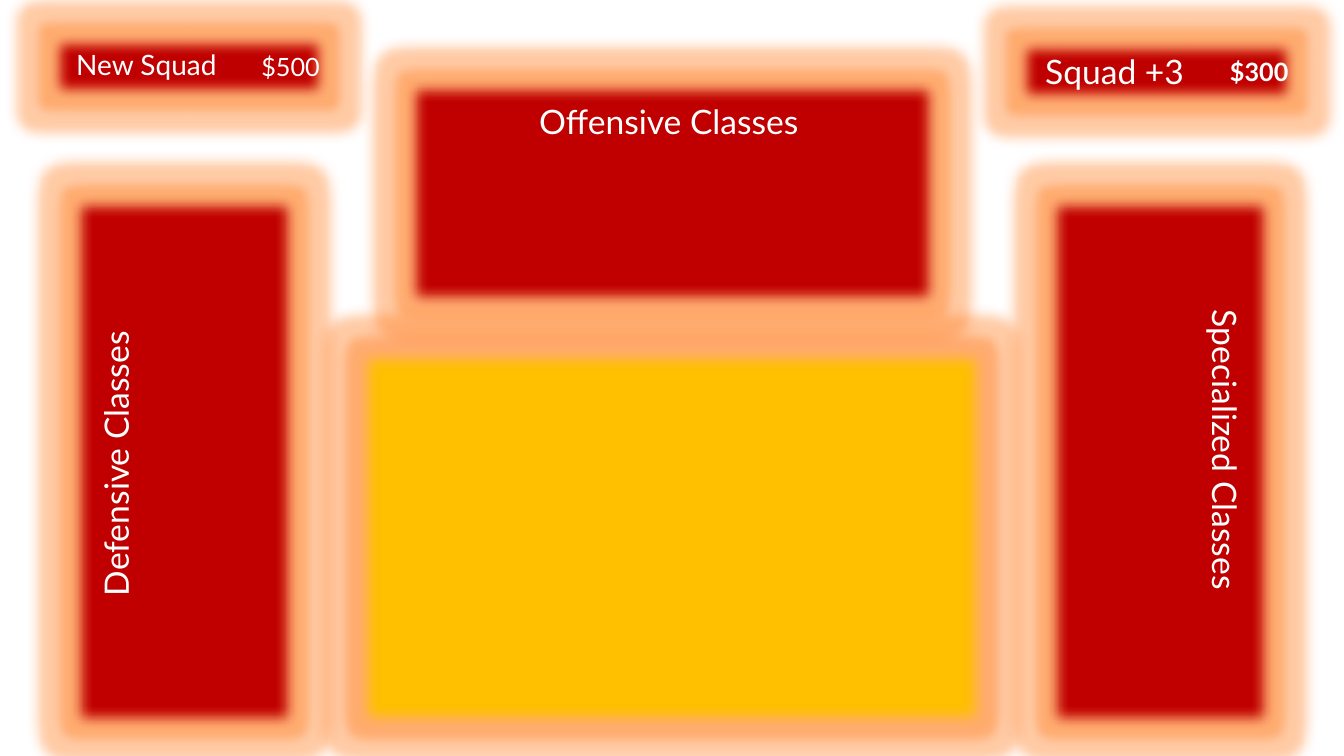
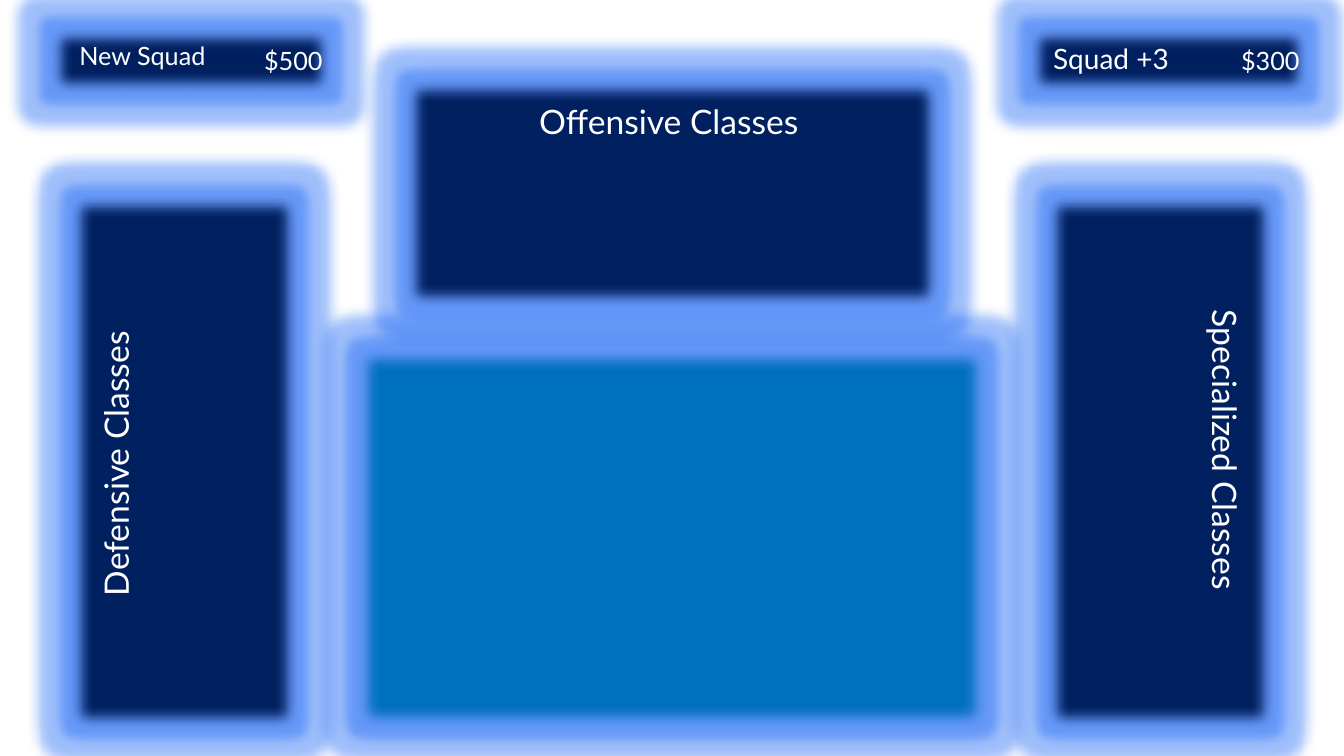
import lxml.etree
import pptx
import pptx.dml.color
import pptx.enum.shapes
import pptx.enum.text
import pptx.oxml.ns
import pptx.util

Cm = pptx.util.Cm
ALIGN = pptx.enum.text.PP_ALIGN

FONT = "Lato"
WHITE = "FFFFFF"
OUTLINE = "C00000"
GLOW_RADIUS = pptx.util.Pt(18)
SOFT_RADIUS = 112500
GLOW_ALPHA = 40000

# Boards in cm: left, top, width, height
LONG, SHORT, SIDE_TOP = 13.49, 5.79, 4.88
OFFENSIVE = (10.19, 1.98, LONG, SHORT)
DEFENSIVE = (1.75, SIDE_TOP, SHORT, LONG)
SPECIALIZED = (26.34, SIDE_TOP, SHORT, LONG)
FIELD = (8.97, 8.74, 15.93, 9.63)
LABEL_HEIGHT = 1.27
PRICE_HEIGHT = 1.73

# Price tags: box, price format, label, label offset and size, label format
SLIDES = [
    {
        "panel": "C00000", "field": "FFC000", "glow": "FF7D20",
        "tags": [
            ((25.58, 0.94, 7.14), "$300", {"bold": True},
             "Squad +3", (0.51, 0.23, 4.9, 1.27), 24, ALIGN.LEFT),
            ((1.22, 0.81, 7.09), "$500", {},
             "New Squad", (0.26, 0.26, 4.42, 1.12), 20, ALIGN.CENTER),
        ],
    },
    {
        "panel": "002060", "field": "0070C0", "glow": "1160F5",
        "tags": [
            ((1.24, 0.66, 7.14), "$500", {},
             "New Squad", (0.51, 0.23, 4.9, 1.02), 18, ALIGN.LEFT),
            ((25.91, 0.66, 7.09), "$300", {},
             "Squad +3", (0.38, 0.25, 4.42, 1.12), 20, ALIGN.LEFT),
        ],
    },
]


def color(value):
    return pptx.dml.color.RGBColor.from_string(value)


def write(shape, text, size, align=ALIGN.LEFT, **extra):
    """Put one formatted line into a shape."""
    para = shape.text_frame.paragraphs[0]
    para.alignment = align
    span = para.add_run()
    span.text = text
    look = {"name": FONT, "size": pptx.util.Pt(size), **extra}
    for name, value in look.items():
        setattr(span.font, name, value)
    span.font.color.rgb = color(WHITE)


def add_glow(shape, glow):
    """Add a coloured glow and soft edges."""
    def child(parent, tag, **attributes):
        element = lxml.etree.SubElement(parent, pptx.oxml.ns.qn(tag))
        for name, value in attributes.items():
            element.set(name, str(value))
        return element

    shape.shadow.inherit = False
    effects = shape.element.spPr.find(pptx.oxml.ns.qn("a:effectLst"))
    halo = child(effects, "a:glow", rad=int(GLOW_RADIUS))
    tint = child(halo, "a:srgbClr", val=glow)
    child(tint, "a:alpha", val=GLOW_ALPHA)
    child(effects, "a:softEdge", rad=SOFT_RADIUS)


def add_board(page, box, fill, glow):
    board = page.shapes.add_shape(
        pptx.enum.shapes.MSO_SHAPE.RECTANGLE, *map(Cm, box))
    board.fill.solid()
    board.fill.fore_color.rgb = color(fill)
    board.line.color.rgb = color(OUTLINE)
    board.line.width = pptx.util.Pt(0.5)
    add_glow(board, glow)
    return board


def add_label(page, box, text, size, align=ALIGN.LEFT, wrap=True, rotation=0):
    label = page.shapes.add_textbox(*map(Cm, box))
    label.rotation = rotation
    frame = label.text_frame
    frame.word_wrap = wrap
    frame.auto_size = pptx.enum.text.MSO_AUTO_SIZE.SHAPE_TO_FIT_TEXT
    write(label, text, size, align)


def add_class_panel(page, box, theme, text, center, width, rotation=0):
    """Board whose heading is centred on a point given from its corner."""
    add_board(page, box, theme["panel"], theme["glow"])
    left = box[0] + center[0] - width / 2
    top = box[1] + center[1] - LABEL_HEIGHT / 2
    add_label(page, (left, top, width, LABEL_HEIGHT), text, 24,
              wrap=False, rotation=rotation)


def add_price_tag(page, theme, box, price, look, text, place, size, align):
    """Small board with the price on the right and a label on the left."""
    left, top, width = box
    board = add_board(page, (left, top, width, PRICE_HEIGHT),
                      theme["panel"], theme["glow"])
    board.text_frame.vertical_anchor = pptx.enum.text.MSO_ANCHOR.MIDDLE
    write(board, price, 18, ALIGN.RIGHT, **look)
    dx, dy, label_width, label_height = place
    add_label(page, (left + dx, top + dy, label_width, label_height),
              text, size, align)


def build_slide(deck, theme):
    page = deck.slides.add_slide(deck.slide_layouts[6])
    # Class panels around the field
    add_class_panel(page, OFFENSIVE, theme, "Offensive Classes",
                    (LONG / 2, 1.07), 7.19)
    for tag in theme["tags"]:
        add_price_tag(page, theme, *tag)
    add_class_panel(page, DEFENSIVE, theme, "Defensive Classes",
                    (1.16, LONG / 2), 7.29, 270)
    add_class_panel(page, SPECIALIZED, theme, "Specialized Classes",
                    (SHORT - 1.25, LONG / 2 - 0.23), 7.67, 90)
    # Playing field
    add_board(page, FIELD, theme["field"], theme["glow"])


def main():
    deck = pptx.Presentation()
    deck.slide_width = Cm(33.87)
    deck.slide_height = Cm(19.05)
    for theme in SLIDES:
        build_slide(deck, theme)
    deck.save("out.pptx")


if __name__ == "__main__":
    main()
